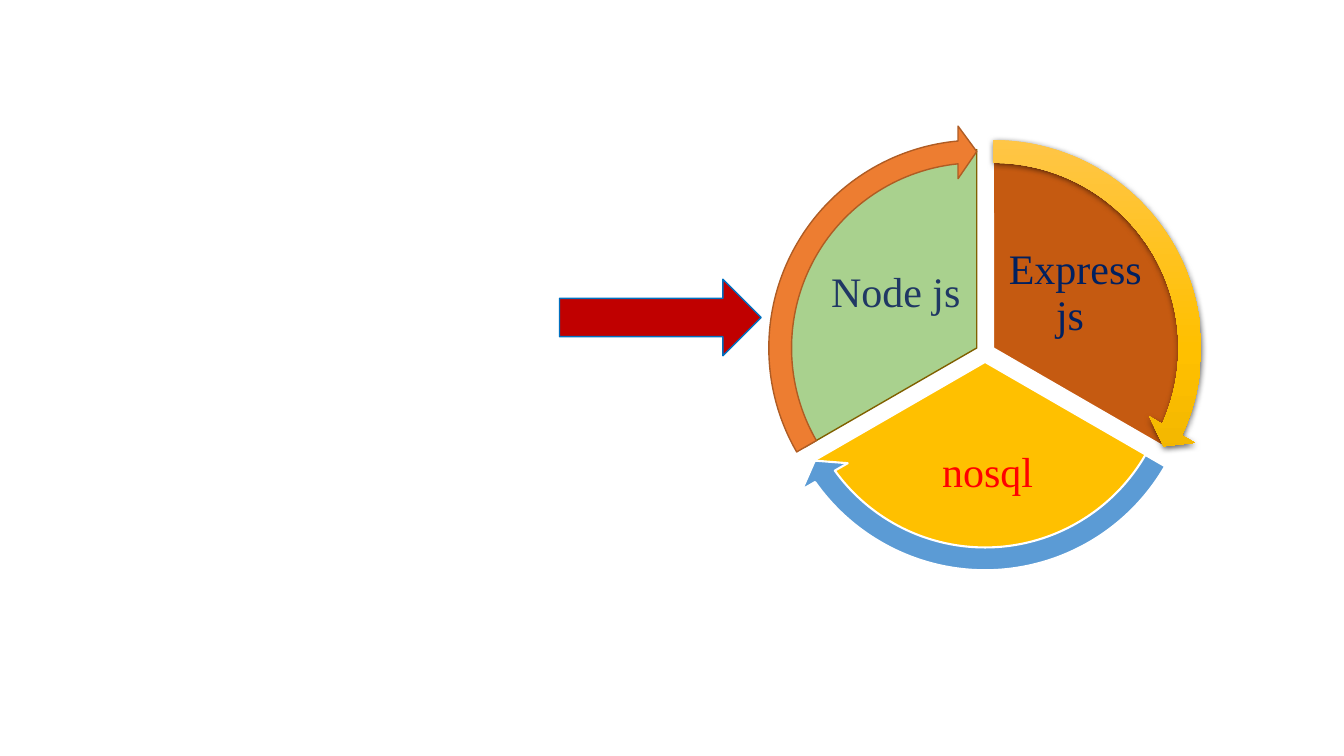
from math import cos, radians, sin

from lxml.etree import SubElement
from pptx import Presentation
from pptx.dml.color import RGBColor
from pptx.enum.shapes import MSO_SHAPE
from pptx.enum.text import MSO_ANCHOR, PP_ALIGN
from pptx.oxml.ns import qn
from pptx.util import Inches, Pt

W, H = 13.33, 7.5
COLORS = {
    "white": "FFFFFF", "brown": "C55A11", "amber": "FFC000", "green": "A9D18E",
    "olive": "806000", "blue": "5B9BD5", "orange": "ED7D31", "rust": "AF5C24",
    "navy": "002060", "red": "FF0000", "slate": "203864",
    "crimson": "C00000", "azure": "0070C0", "shadow": "000000",
    "amber light": "FFC64B", "amber dark": "E3AB00",
}
GOLD = [(0, "amber light"), (50, "amber"), (100, "amber dark")]
# start angle, pie fill and line, ring fill and line, label, its colour and box from the hub
SECTORS = [
    dict(start=270, pie=("brown", "white", 1), ring=(GOLD, None, 0),
         text="Expressjs ", color="navy", box=(0.19, -1.17, 1.41, 1.17)),
    dict(start=30, pie=("amber", "white", 1), ring=("blue", "white", 1.5),
         text="nosql", color="red", box=(-1.03, 0.69, 2.11, 1.03)),
    dict(start=150, pie=("green", "olive", 1), ring=("orange", "rust", 1),
         text="Node js ", color="slate", box=(-1.59, -1.17, 1.41, 1.17)),
]


def rgb(name):
    return RGBColor.from_string(COLORS[name])


def fill_gradient(sp, stops):
    sp.fill.gradient()
    sp.fill.gradient_angle = 270
    gs_list = sp._element.spPr.find(".//" + qn("a:gsLst"))
    for gs in list(gs_list):
        gs_list.remove(gs)
    for pos, name in stops:
        gs = SubElement(gs_list, qn("a:gs"), pos=str(pos * 1000))
        SubElement(gs, qn("a:srgbClr"), val=COLORS[name])


def add_shadow(sp):
    effects = sp._element.spPr.find(qn("a:effectLst"))
    shadow = SubElement(effects, qn("a:outerShdw"), blurRad=str(Pt(4.5)),
                        dist=str(Pt(1.5)), dir="5400000", algn="ctr", rotWithShape="0")
    color = SubElement(shadow, qn("a:srgbClr"), val=COLORS["shadow"])
    SubElement(color, qn("a:alpha"), val="63000")


def add_part(shapes, kind, box, style, adjustments=()):
    fill, line, width = style
    sp = shapes.add_shape(kind, *map(Inches, box))
    sp.shadow.inherit = False
    for i, value in enumerate(adjustments):
        sp.adjustments[i] = value
    if isinstance(fill, list):
        fill_gradient(sp, fill)
        add_shadow(sp)
    else:
        sp.fill.solid()
        sp.fill.fore_color.rgb = rgb(fill)
    if line:
        sp.line.color.rgb = rgb(line)
        sp.line.width = Pt(width)
    else:
        sp.line.fill.background()


def add_label(shapes, box, text, color):
    tf = shapes.add_textbox(*map(Inches, box)).text_frame
    frame = dict(word_wrap=True, vertical_anchor=MSO_ANCHOR.MIDDLE)
    frame |= {f"margin_{side}": Inches(0.04) for side in ("left", "right", "top", "bottom")}
    p = tf.paragraphs[0]
    r = p.add_run()
    r.text = text
    formats = [(tf, frame),
               (p, dict(alignment=PP_ALIGN.CENTER, line_spacing=0.9)),
               (r.font, dict(name="Times New Roman", size=Pt(30)))]
    for target, values in formats:
        for key, value in values.items():
            setattr(target, key, value)
    r.font.color.rgb = rgb(color)


def add_cycle(s, box):
    """Three pie sectors pushed out from the hub, each with a ring arrow."""
    x, y, size = box
    hub_x, hub_y = x + size / 2, y + size / 2
    pie_size, push = size * 0.89, 0.095
    shapes = s.shapes.add_group_shape().shapes

    def centred(sector, width):
        middle = radians(sector["start"] + 60)
        return (hub_x + push * cos(middle) - width / 2,
                hub_y + push * sin(middle) - width / 2, width, width)

    def angles(sector):  # an adjustment unit is 0.6 per degree
        start = sector["start"]
        return start * 0.6, (start + 120) % 360 * 0.6

    # Sectors and labels
    for sector in SECTORS:
        add_part(shapes, MSO_SHAPE.PIE, centred(sector, pie_size), sector["pie"], angles(sector))
        dx, dy, w, h = sector["box"]
        add_label(shapes, (hub_x + dx, hub_y + dy, w, h), sector["text"], sector["color"])
    # Ring arrows
    head = 3.275
    for sector in SECTORS:
        start, end = angles(sector)
        add_part(shapes, MSO_SHAPE.CIRCULAR_ARROW, centred(sector, size), sector["ring"],
                 (0.051, head, end - head, start, 0.059))


def add_pointer(s, box):
    add_part(s.shapes, MSO_SHAPE.RIGHT_ARROW, box, ("crimson", "azure", 1))


def main():
    prs = Presentation()
    prs.slide_width, prs.slide_height = Inches(W), Inches(H)
    s = prs.slides.add_slide(prs.slide_layouts[6])
    add_cycle(s, (7.56, 1.29, 4.42))
    add_pointer(s, (5.55, 2.77, 2, 0.76))
    prs.save("out.pptx")


if __name__ == "__main__":
    main()
